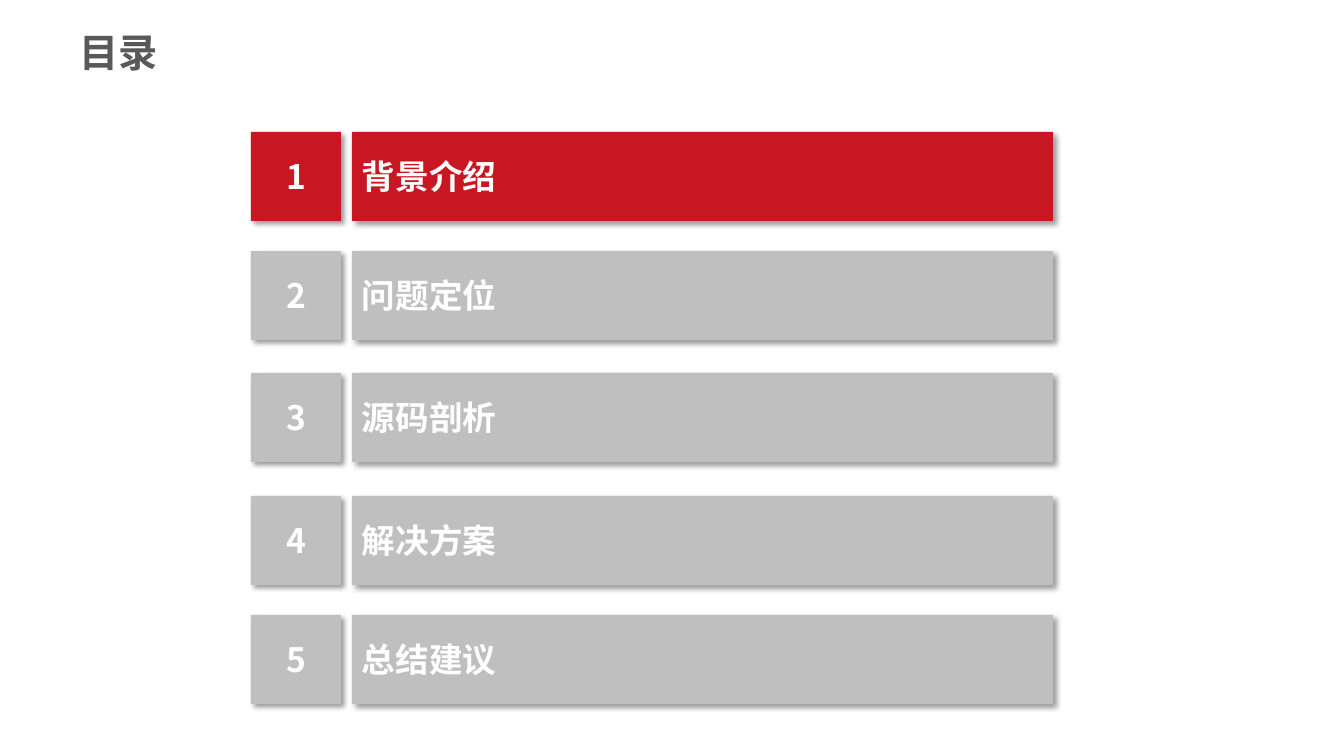
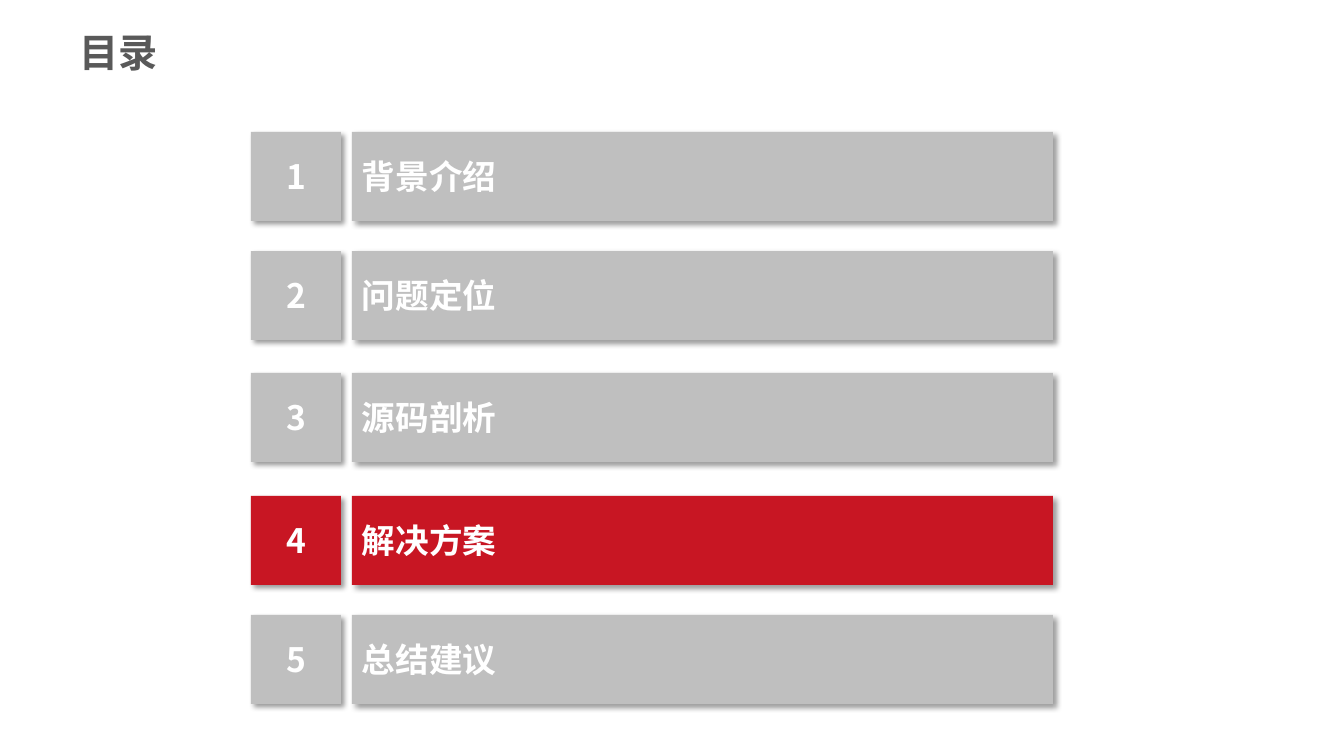
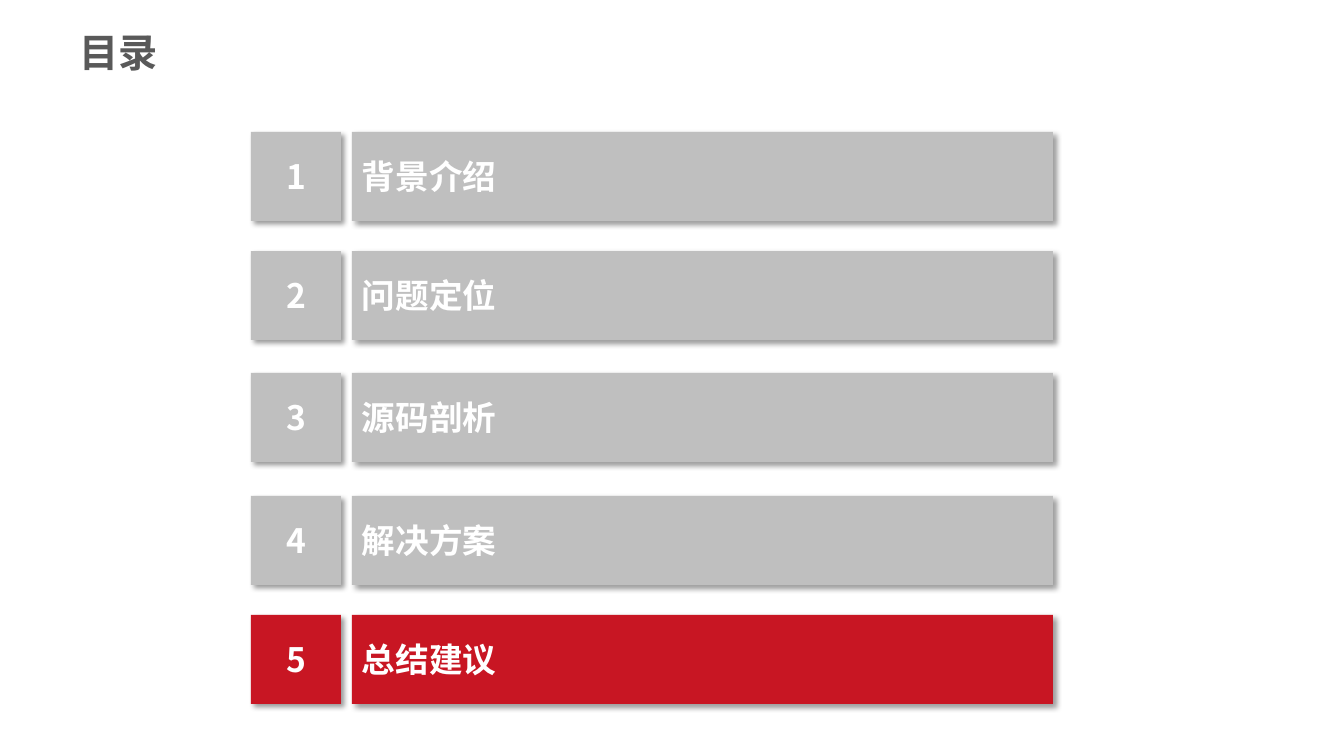
import lxml.etree
import pptx
import pptx.dml.color
import pptx.enum.shapes
import pptx.enum.text
import pptx.oxml
import pptx.oxml.ns
import pptx.util

PX = 914400 / 100.8
FONT = "Noto Sans CJK SC"
RED, GREY, DARK, WHITE = "C81623", "BFBFBF", "595959", "FFFFFF"
LEFT = pptx.enum.text.PP_ALIGN.LEFT
CENTER = pptx.enum.text.PP_ALIGN.CENTER
TOP = pptx.enum.text.MSO_ANCHOR.TOP
MIDDLE = pptx.enum.text.MSO_ANCHOR.MIDDLE

SHADOW = (
    f'<a:outerShdw {pptx.oxml.ns.nsdecls("a")} blurRad="50800" dist="38100" '
    'dir="2700000" algn="tl" rotWithShape="0"><a:srgbClr val="000000">'
    '<a:alpha val="40000"/></a:srgbClr></a:outerShdw>'
)

CHAPTERS = ["背景介绍", "问题定位", "源码剖析", "解决方案", "总结建议"]
ROW_TOPS = [132, 251, 373, 496, 615]
ROW_HEIGHT = 89
COLUMNS = [(251, 90, CENTER), (352, 701, LEFT)]  # left, width, alignment
CURRENT_CHAPTERS = [1, 4, 5]


def rgb(hex_colour):
    return pptx.dml.color.RGBColor.from_string(hex_colour)


def write(shape, text, size, colour, align=LEFT, anchor=MIDDLE):
    """Put bold text into a shape, with the font set for Latin and Chinese."""
    frame = shape.text_frame
    frame.word_wrap = True
    frame.auto_size = pptx.enum.text.MSO_AUTO_SIZE.NONE
    frame.vertical_anchor = anchor
    paragraph = frame.paragraphs[0]
    paragraph.alignment = align
    run = paragraph.add_run()
    run.text = text
    run.font.size = pptx.util.Pt(size)
    run.font.bold = True
    run.font.color.rgb = rgb(colour)
    run.font.name = FONT
    east_asian = lxml.etree.SubElement(
        run._r.get_or_add_rPr(), pptx.oxml.ns.qn("a:ea"))
    east_asian.set("typeface", FONT)


prs = pptx.Presentation()
prs.slide_width = pptx.util.Emu(round(1344 * PX))
prs.slide_height = pptx.util.Emu(round(756 * PX))
title_only = prs.slide_layouts[5]

for current in CURRENT_CHAPTERS:
    slide = prs.slides.add_slide(title_only)
    title = slide.shapes.title
    title.left, title.top, title.width, title.height = (
        round(length * PX) for length in (69, 23, 788, 57))
    write(title, "目录", size=28, colour=DARK, anchor=TOP)

    for number, (chapter, top) in enumerate(zip(CHAPTERS, ROW_TOPS), start=1):
        for text, (left, width, align) in zip((str(number), chapter), COLUMNS):
            bar = slide.shapes.add_shape(
                pptx.enum.shapes.MSO_SHAPE.RECTANGLE,
                *(round(length * PX) for length in (left, top, width, ROW_HEIGHT)))
            bar.fill.solid()
            bar.fill.fore_color.rgb = rgb(RED if number == current else GREY)
            bar.line.fill.background()
            bar.shadow.inherit = False
            effects = bar._element.spPr.find(pptx.oxml.ns.qn("a:effectLst"))
            effects.append(pptx.oxml.parse_xml(SHADOW))
            write(bar, text, size=24, colour=WHITE, align=align)

prs.save("out.pptx")
